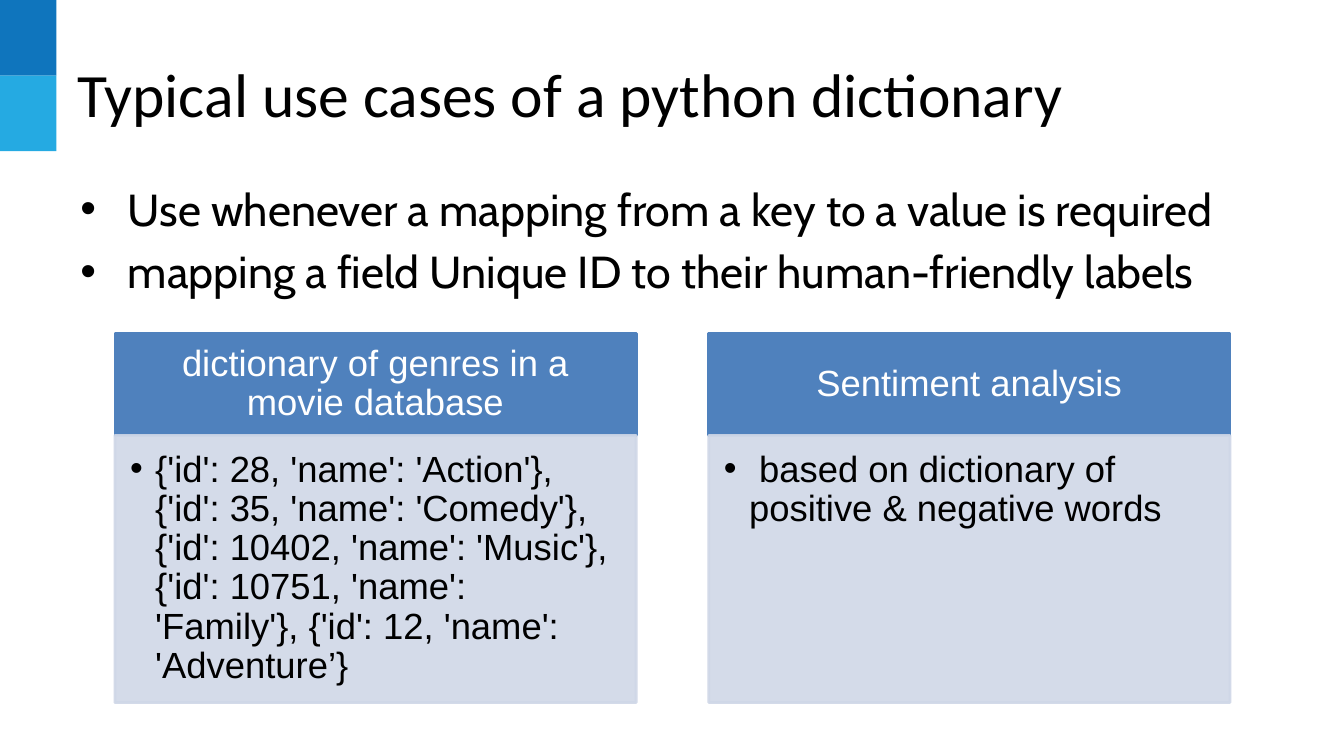
import pptx
import pptx.util
import pptx.dml.color
import pptx.enum.shapes
import pptx.enum.text
import pptx.oxml.ns
import lxml.etree

Inches = pptx.util.Inches
ANCHOR = pptx.enum.text.MSO_ANCHOR
ALIGN = pptx.enum.text.PP_ALIGN
COLORS = {
    "dark band": "0F75BD",
    "light band": "25AAE2",
    "header": "4F81BD",
    "panel": "CFD7E7",
    "black": "000000",
    "white": "FFFFFF",
}

deck = pptx.Presentation()
deck.slide_width, deck.slide_height = Inches(13.33), Inches(7.5)
page = deck.slides.add_slide(deck.slide_layouts[6])


def add_block(place, color, line_width=0, opacity=100):
    """Add a filled rectangle, outlined in the same colour if asked."""
    box = page.shapes.add_shape(
        pptx.enum.shapes.MSO_SHAPE.RECTANGLE, *map(Inches, place))
    box.shadow.inherit = False
    fills = [box.fill]
    if line_width:
        box.line.width = pptx.util.Pt(line_width)
        fills.append(box.line.fill)
    else:
        box.line.fill.background()
    for fill in fills:
        fill.solid()
        fill.fore_color.rgb = pptx.dml.color.RGBColor.from_string(COLORS[color])
    if opacity < 100:
        for tint in box._element.spPr.iter(pptx.oxml.ns.qn("a:srgbClr")):
            lxml.etree.SubElement(
                tint, pptx.oxml.ns.qn("a:alpha"), val=str(opacity * 1000))
    return box


def write(box, lines, font, size, color, insets, anchor, para_format, bullet=None):
    """Fill a box with paragraphs; bullet is (left margin, first-line indent)."""
    frame = box.text_frame
    frame.word_wrap = True
    frame.vertical_anchor = anchor
    for side, inset in zip(("left", "top", "right", "bottom"), insets):
        setattr(frame, "margin_" + side, Inches(inset))
    for number, line in enumerate(lines):
        para = frame.add_paragraph() if number else frame.paragraphs[0]
        for name, value in para_format.items():
            setattr(para, name, value)
        if bullet:
            props = para._p.get_or_add_pPr()
            props.set("marL", str(Inches(bullet[0])))
            props.set("indent", str(Inches(bullet[1])))
            lxml.etree.SubElement(
                props, pptx.oxml.ns.qn("a:buFont"), typeface="Arial")
            lxml.etree.SubElement(props, pptx.oxml.ns.qn("a:buChar"), char="•")
        span = para.add_run()
        span.text = line
        span.font.name, span.font.size = font, pptx.util.Pt(size)
        span.font.color.rgb = pptx.dml.color.RGBColor.from_string(COLORS[color])


# Corner bands
for row, band in enumerate(("dark band", "light band")):
    add_block((0, row * 0.75, 0.56, 0.75), band)

# Title
title = page.shapes.add_textbox(*map(Inches, (0.67, 0.3, 12, 1.25)))
write(title, ["Typical use cases of a python dictionary"], "Calibri", 44, "black",
      (0.1, 0.05, 0.1, 0.05), ANCHOR.MIDDLE, {"alignment": ALIGN.LEFT})

# Main points
points = page.shapes.add_textbox(*map(Inches, (0.67, 1.75, 12, 1.5)))
write(points,
      ["Use whenever a mapping from a key to a value is required",
       "mapping a field Unique ID to their human-friendly labels"],
      "Cabin", 32, "black", (0.1, 0.05, 0.1, 0.05), ANCHOR.TOP,
      {"alignment": ALIGN.LEFT, "space_before": pptx.util.Pt(6.4)}, (0.5, -0.47))

# Use cases: a header above a panel in each column
use_cases = [
    ("dictionary of genres in a movie database",
     "{'id': 28, 'name': 'Action'}, {'id': 35, 'name': 'Comedy'}, "
     "{'id': 10402, 'name': 'Music'}, {'id': 10751, 'name': 'Family'}, "
     "{'id': 12, 'name': 'Adventure’}"),
    ("Sentiment analysis", " based on dictionary of positive & negative words"),
]
for column, (heading, detail) in enumerate(use_cases):
    left = 1.14 + column * 5.89
    header = add_block((left, 3.31, 5.17, 1.01), "header", 2)
    write(header, [heading], "Arial", 26, "white", (0.2, 0.12, 0.2, 0.12),
          ANCHOR.MIDDLE, {"alignment": ALIGN.CENTER, "line_spacing": 0.9})
    panel = add_block((left, 4.32, 5.17, 2.65), "panel", 2, opacity=89)
    write(panel, [detail], "Arial", 26, "black", (0.15, 0.15, 0.2, 0.23),
          ANCHOR.TOP, {"alignment": ALIGN.LEFT, "line_spacing": 0.9},
          (0.25, -0.25))

deck.save("out.pptx")
